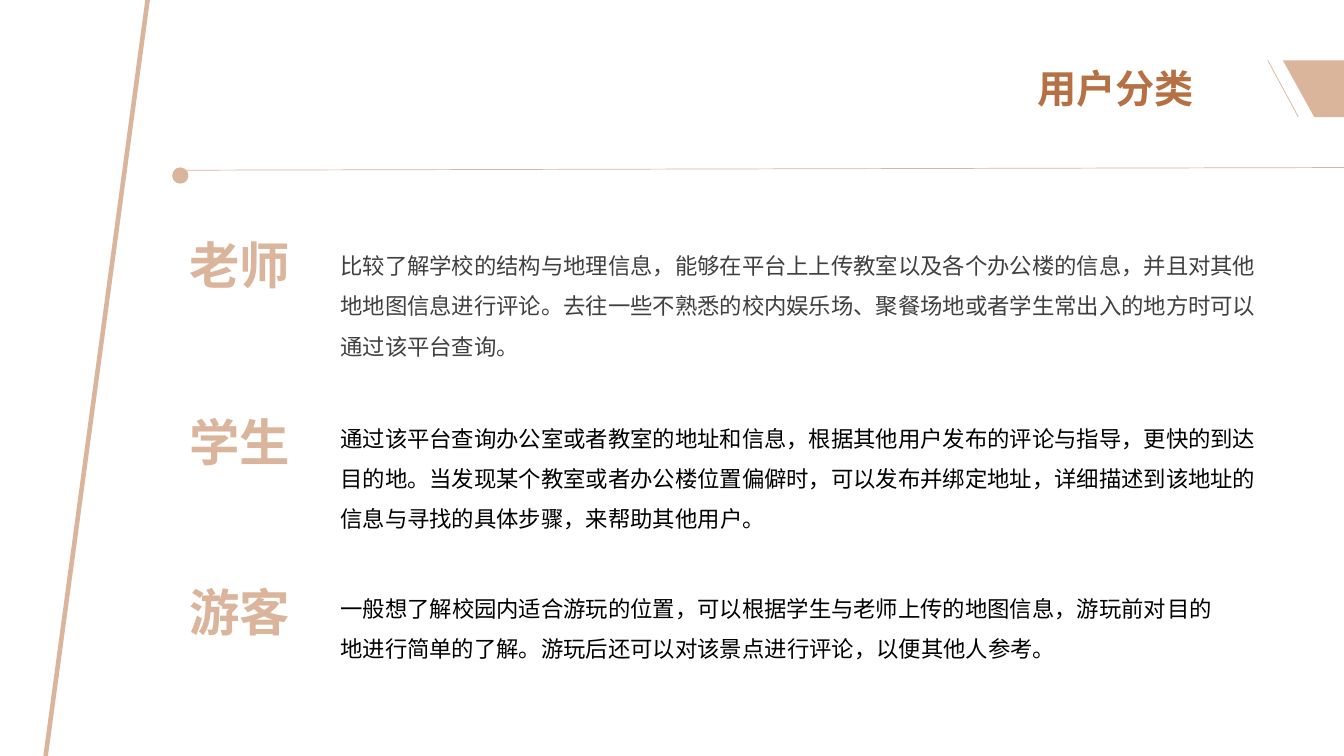
from dataclasses import dataclass
from lxml.etree import SubElement
from pptx import Presentation
from pptx.dml.color import RGBColor
from pptx.enum.shapes import MSO_CONNECTOR, MSO_SHAPE
from pptx.enum.text import MSO_ANCHOR, MSO_AUTO_SIZE, PP_ALIGN
from pptx.oxml.ns import qn
from pptx.util import Cm, Pt


@dataclass(frozen=True)
class Theme:
    sand: RGBColor = RGBColor(0xDA, 0xB5, 0x9C)
    copper: RGBColor = RGBColor(0xB5, 0x71, 0x44)
    gray: RGBColor = RGBColor(0x40, 0x40, 0x40)
    black: RGBColor = RGBColor(0, 0, 0)
    latin: str = "Arial"
    chinese: str = "Noto Sans CJK SC"
    title_size: Pt = Pt(28)
    label_size: Pt = Pt(36)
    body_size: Pt = Pt(16)


theme = Theme()


def write(box, text, size, color, font, bold=False):
    """Put one formatted paragraph in the box and return it."""
    frame = box.text_frame
    frame.word_wrap = True
    para = frame.paragraphs[0]
    para.text = text
    para.font.size = size
    para.font.bold = bold
    para.font.color.rgb = color
    para.font.name = font
    SubElement(para.font._element, qn("a:ea"), typeface=theme.chinese)
    return para


deck = Presentation()
deck.slide_width, deck.slide_height = Cm(33.87), Cm(19.05)
page = deck.slides.add_slide(deck.slide_layouts[5])

# Title
title = page.shapes.title
title.left, title.top, title.width, title.height = Cm(26.14), Cm(1.63), Cm(5.13), Cm(1.19)
para = write(title, "用户分类", theme.title_size, theme.copper, theme.latin, bold=True)
para.alignment = PP_ALIGN.JUSTIFY
frame = title.text_frame
frame.auto_size = MSO_AUTO_SIZE.NONE
frame.vertical_anchor = MSO_ANCHOR.MIDDLE
frame.margin_left = frame.margin_top = frame.margin_right = frame.margin_bottom = 0

# Slanted edge, corner stripe and rule under the title
for x1, y1, x2, y2, weight in [
    (3.73, -0.08, 1.14, 19.13, 3.25),
    (32.72, 2.95, 31.95, 1.52, 0.5),
    (4.39, 4.29, 34.54, 4.22, 0.5),
]:
    line = page.shapes.add_connector(MSO_CONNECTOR.STRAIGHT, Cm(x1), Cm(y1), Cm(x2), Cm(y2))
    line.line.color.rgb = theme.sand
    line.line.width = Pt(weight)
    SubElement(line._element.spPr, qn("a:effectLst"))

# Corner flag and dot at the start of the rule
outline = page.shapes.build_freeform(Cm(33.12), Cm(2.95))
outline.add_line_segments([(Cm(32.33), Cm(1.52)), (Cm(33.87), Cm(1.52)), (Cm(33.87), Cm(2.95))])
flag = outline.convert_to_shape()
dot = page.shapes.add_shape(MSO_SHAPE.OVAL, Cm(4.34), Cm(4.22), Cm(0.41), Cm(0.41))
for shape in (flag, dot):
    shape.shadow.inherit = False
    shape.fill.solid()
    shape.fill.fore_color.rgb = theme.sand
    shape.line.fill.background()

# User groups: label, its top, description, its top, width and height, colour, font
groups = [
    ("老师", 5.77,
     "⽐较了解学校的结构与地理信息，能够在平台上上传教室以及各个办公楼的信息，并且对其他地地图信息进行评论。"
     "去往⼀些不熟悉的校内娱乐场、聚餐场地或者学⽣常出⼊的地⽅时可以通过该平台查询。",
     5.89, 23.62, 3.2, theme.gray, theme.chinese),
    ("学生", 10.24,
     "通过该平台查询办公室或者教室的地址和信息，根据其他⽤⼾发布的评论与指导，更快的到达⽬的地。"
     "当发现某个教室或者办公楼位置偏僻时，可以发布并绑定地址，详细描述到该地址的信息与寻找的具体步骤，来帮助其他用户。",
     10.24, 23.6, 3.2, theme.black, theme.latin),
    ("游客", 14.53,
     "一般想了解校园内适合游玩的位置，可以根据学⽣与⽼师上传的地图信息，游玩前对目的地进行简单的了解。"
     "游玩后还可以对该景点进⾏评论，以便其他⼈参考。",
     14.53, 22.91, 2.18, theme.black, theme.latin),
]
for label, label_top, text, top, width, height, color, font in groups:
    box = page.shapes.add_textbox(Cm(4.52), Cm(label_top), Cm(3.4), Cm(1.8))
    write(box, label, theme.label_size, theme.sand, theme.chinese, bold=True)
    box = page.shapes.add_textbox(Cm(8.33), Cm(top), Cm(width), Cm(height))
    write(box, text, theme.body_size, color, font).line_spacing = 1.5

deck.save("out.pptx")
